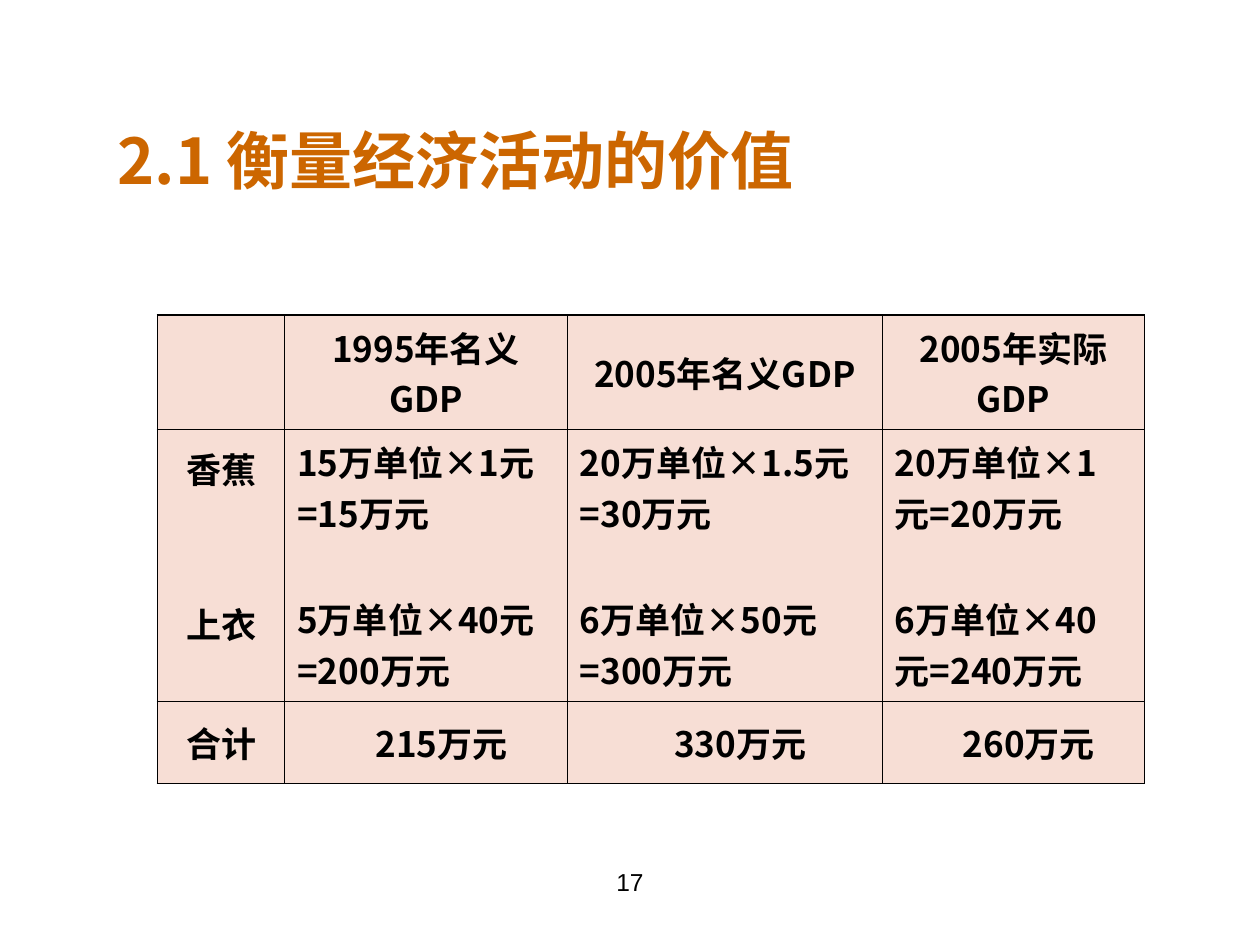
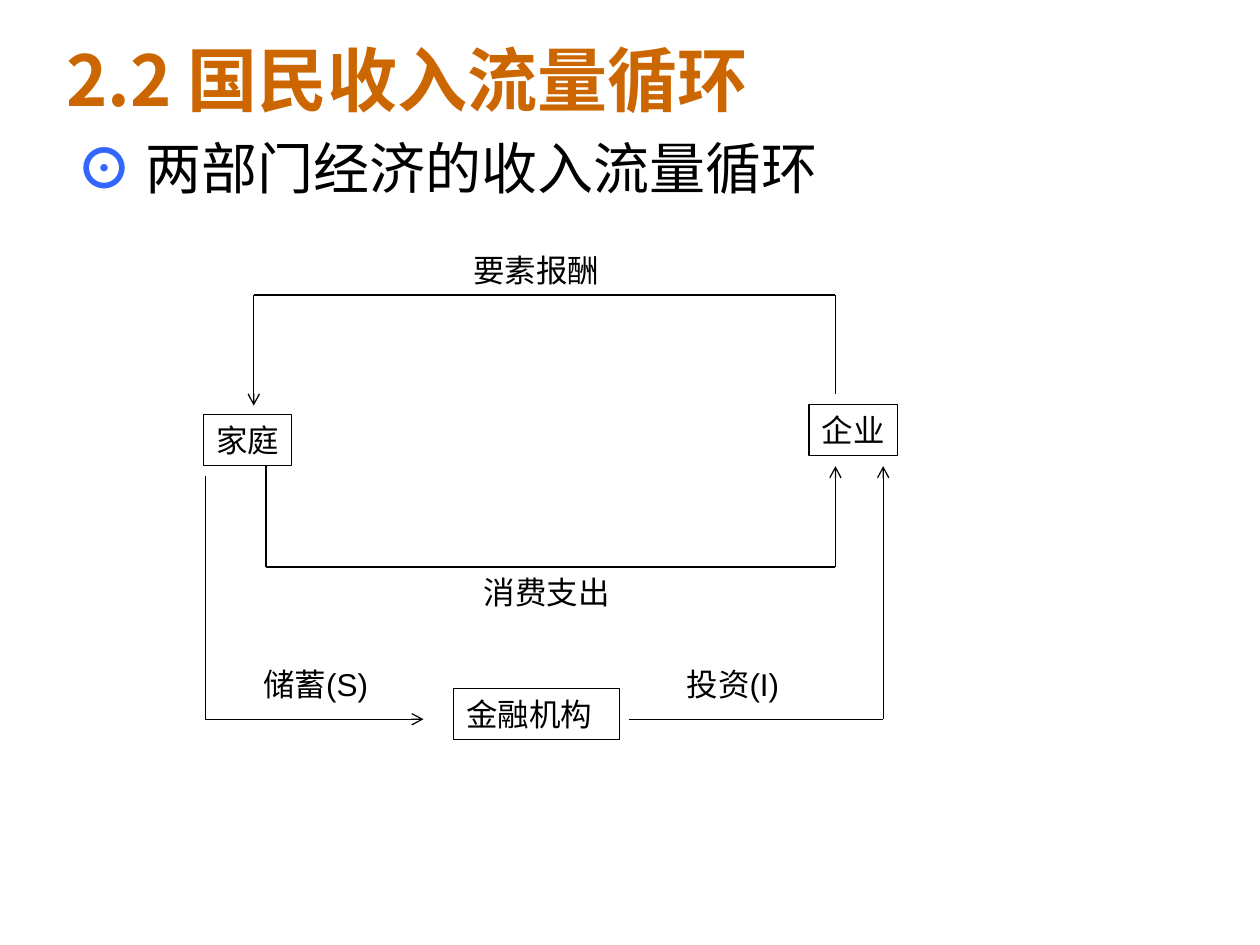
from itertools import pairwise

from lxml.etree import SubElement
from pptx import Presentation
from pptx.dml.color import RGBColor
from pptx.enum.shapes import MSO_CONNECTOR, MSO_SHAPE
from pptx.enum.text import MSO_ANCHOR, PP_ALIGN
from pptx.oxml.ns import qn
from pptx.util import Pt


class Theme:
    title = RGBColor(0xCC, 0x66, 0x00)
    text = RGBColor(0x00, 0x00, 0x00)
    bullet = RGBColor(0x33, 0x66, 0xFF)
    cell = RGBColor(0xF1, 0xBF, 0xAD)
    cjk = "Noto Sans CJK SC"
    latin = "Arial"
    table_size, label_size, body_size, number_size = 20, 18, 32, 14
    thin, thick, flow = 0.45, 1.08, 0.75


def style(p, size, color=Theme.text, font=Theme.cjk, bold=False):
    for r in p.runs:
        r.font.size = Pt(size)
        r.font.color.rgb = color
        r.font.bold = bold
        r.font.name = font
        SubElement(r._r.get_or_add_rPr(), qn("a:ea"), typeface=Theme.cjk)


def add_text(slide, text, left, top, width, height, anchor=MSO_ANCHOR.TOP, **look):
    sp = slide.shapes.add_textbox(Pt(left), Pt(top), Pt(width), Pt(height))
    tf = sp.text_frame
    tf.word_wrap = True
    tf.vertical_anchor = anchor
    tf.text = text
    style(tf.paragraphs[0], **look)
    return sp


prs = Presentation()
prs.slide_width, prs.slide_height = Pt(720), Pt(540)

# Slides and titles
titles = [
    ("2.1 衡量经济活动的价值", 60, 60, 564, 62.5, 36),
    ("2.2 国民收入流量循环", 31, 0, 648, 90, 40),
]
slides = []
for text, left, top, width, height, size in titles:
    s = prs.slides.add_slide(prs.slide_layouts[6])
    add_text(s, text, left, top, width, height, MSO_ANCHOR.MIDDLE,
             size=size, color=Theme.title, bold=True)
    slides.append(s)
gdp_slide, flow_slide = slides

# Page number
sp = add_text(gdp_slide, "17", 246, 492, 228, 37.5,
              size=Theme.number_size, font=Theme.latin)
sp.text_frame.paragraphs[0].alignment = PP_ALIGN.CENTER

# GDP table
rows = [
    ["", "1995年名义GDP", "2005年名义GDP", "2005年实际GDP"],
    ["香蕉\n上衣", "15万单位×1元=15万元\n5万单位×40元=200万元",
     "20万单位×1.5元=30万元\n6万单位×50元=300万元",
     "20万单位×1元=20万元\n6万单位×40元=240万元"],
    ["合计", "215万元", "330万元", "260万元"],
]
col_widths = [72.7, 161.5, 180, 149.8]
row_heights = [65.4, 155.5, 46.8]
last_row, last_col = len(rows) - 1, len(col_widths) - 1
table = gdp_slide.shapes.add_table(
    len(rows), len(col_widths), Pt(90), Pt(180),
    Pt(sum(col_widths)), Pt(sum(row_heights))).table
table.first_row = table.horz_banding = False
for column, width in zip(table.columns, col_widths):
    column.width = Pt(width)

for i, row in enumerate(rows):
    table.rows[i].height = Pt(row_heights[i])
    for j, text in enumerate(row):
        cell = table.cell(i, j)
        cell.text = text
        cell.vertical_anchor = MSO_ANCHOR.MIDDLE
        goods_names = i == 1 and j == 0
        if goods_names:
            cell.vertical_anchor = MSO_ANCHOR.TOP
            cell.margin_top = Pt(7.6)
        if i == last_row and j > 0:
            cell.margin_left = Pt(25)
        for k, p in enumerate(cell.text_frame.paragraphs):
            p.alignment = PP_ALIGN.LEFT if i == 1 and j > 0 else PP_ALIGN.CENTER
            if k > 0:
                p.space_before = Pt(59.6 if goods_names else 31.6)
            style(p, Theme.table_size, bold=True)

        # Borders come before the fill in the cell properties
        tcPr = cell._tc.get_or_add_tcPr()
        outer = {"lnL": j == 0, "lnR": j == last_col,
                 "lnT": i == 0, "lnB": i == last_row}
        for side, is_outer in outer.items():
            weight = Pt(Theme.thick if is_outer else Theme.thin)
            ln = SubElement(tcPr, qn(f"a:{side}"), w=str(weight))
            fill = SubElement(ln, qn("a:solidFill"))
            SubElement(fill, qn("a:srgbClr"), val=str(Theme.text))
        cell.fill.solid()
        cell.fill.fore_color.rgb = Theme.cell
        color = tcPr.find(qn("a:solidFill")).find(qn("a:srgbClr"))
        SubElement(color, qn("a:alpha"), val="50000")

# Topic line
sp = add_text(flow_slide, "⊙ ", 36.7, 73, 648, 356,
              size=Theme.body_size, color=Theme.bullet, bold=True)
p = sp.text_frame.paragraphs[0]
r = p.add_run()
r.text = "两部门经济的收入流量循环"
r.font.size = Pt(Theme.body_size)
r.font.color.rgb = Theme.text
r.font.name = Theme.cjk
SubElement(r._r.get_or_add_rPr(), qn("a:ea"), typeface=Theme.cjk)

# Sectors and flow labels: text, left, top, width, boxed
labels = [
    ("家庭", 116.4, 237, 50.4, True),
    ("企业", 462.4, 231.2, 50.4, True),
    ("金融机构", 259.2, 393.5, 95, True),
    ("要素报酬", 263.5, 139.5, 86.4, False),
    ("消费支出", 269.3, 324, 86.4, False),
    ("储蓄(S)", 143.3, 376.5, 78.5, False),
    ("投资(I)", 385.2, 376.5, 71.3, False),
]
for text, left, top, width, boxed in labels:
    kind = MSO_SHAPE.RECTANGLE
    if boxed:
        sp = flow_slide.shapes.add_shape(kind, Pt(left), Pt(top), Pt(width), Pt(29))
        sp.shadow.inherit = False
        sp.fill.background()
        sp.line.color.rgb = Theme.text
        sp.line.width = Pt(Theme.flow)
    else:
        sp = flow_slide.shapes.add_textbox(Pt(left), Pt(top), Pt(width), Pt(29))
    tf = sp.text_frame
    tf.word_wrap = True
    tf.margin_right = 0
    tf.vertical_anchor = MSO_ANCHOR.MIDDLE
    tf.text = text
    tf.paragraphs[0].alignment = PP_ALIGN.LEFT
    style(tf.paragraphs[0], Theme.label_size, font=Theme.latin)

# Flows: corner points, arrowhead at the end
flows = [
    ([(477.4, 225.4), (477.4, 168.5), (145, 168.5), (145, 231.8)], True),
    ([(152, 266.4), (152, 324), (477.4, 324), (477.4, 266.4)], True),
    ([(117.4, 272.2), (117.4, 411), (242, 411)], True),
    ([(359.3, 411), (504.7, 411), (504.7, 266.4)], True),
]
for points, arrow in flows:
    for start, end in pairwise(points):
        line = flow_slide.shapes.add_connector(
            MSO_CONNECTOR.STRAIGHT, *map(Pt, start + end))
        line.line.color.rgb = Theme.text
        line.line.width = Pt(Theme.flow)
        if arrow and end == points[-1]:
            SubElement(line.line._get_or_add_ln(), qn("a:tailEnd"), type="arrow")
        SubElement(line._element.spPr, qn("a:effectLst"))

prs.save("out.pptx")
